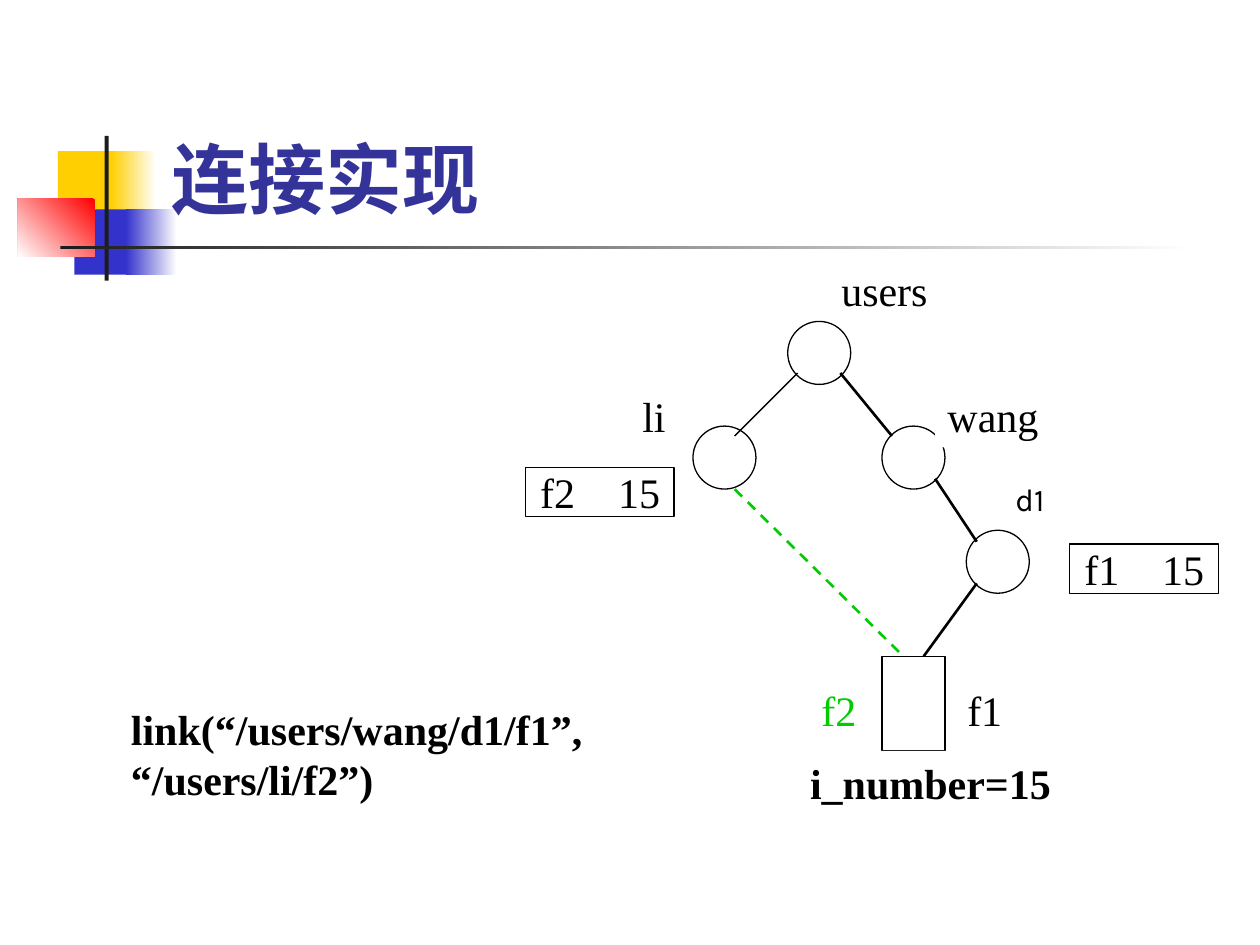
from pptx import Presentation
from pptx.dml.color import RGBColor
from pptx.enum.dml import MSO_LINE
from pptx.enum.shapes import MSO_CONNECTOR, MSO_SHAPE
from pptx.enum.text import MSO_ANCHOR
from pptx.oxml.ns import qn
from pptx.util import Cm, Pt
from lxml.etree import SubElement

HUES = {name: RGBColor.from_string(code) for name, code in {
    "white": "FFFFFF", "black": "000000", "green": "00CC00",
    "yellow": "FFCF01", "blue": "3333CC", "red": "FF0000",
    "ink": "1C1C1C", "navy": "333399"}.items()}
SERIF = "Times New Roman"

deck = Presentation()
deck.slide_width, deck.slide_height = Cm(25.4), Cm(19.05)
slide = deck.slides.add_slide(deck.slide_layouts[6])
shapes = slide.shapes


def draw(kind, x, y, w, h, hue="white", edge=None):
    item = shapes.add_shape(kind, Cm(x), Cm(y), Cm(w), Cm(h))
    item.shadow.inherit = False
    item.fill.solid()
    item.fill.fore_color.rgb = HUES[hue]
    if edge:
        item.line.color.rgb = HUES[edge]
        item.line.width = Pt(0.75)
    else:
        item.line.fill.background()
    return item


def write(x, y, w, h, text, size=24, hue="black", bold=False, face=SERIF,
          anchor=MSO_ANCHOR.TOP):
    box = shapes.add_textbox(Cm(x), Cm(y), Cm(w), Cm(h))
    frame = box.text_frame
    frame.word_wrap = True
    frame.vertical_anchor = anchor
    para = frame.paragraphs[0]
    para.text = text
    if "\t" in text:
        tabs = SubElement(para._p.get_or_add_pPr(), qn("a:tabLst"))
        SubElement(tabs, qn("a:tab"), pos=str(Cm(1.57)), algn="l")
    font = para.font
    font.name, font.size, font.bold = face, Pt(size), bold
    font.color.rgb = HUES[hue]
    return box


# Corner ornament and title rule; an angle marks a fade
for x, y, w, h, hue, angle in [
        (1.17, 3.05, 1.22, 1.32, "yellow", None),
        (2.24, 3.05, 0.91, 1.32, "yellow", 0),
        (1.5, 4.22, 1.17, 1.32, "blue", None),
        (2.54, 4.22, 1.02, 1.32, "blue", 0),
        (0.36, 4.01, 1.55, 1.17, "red", 225),
        (2.11, 2.74, 0.08, 2.92, "ink", None),
        (1.22, 4.95, 22.86, 0.08, "ink", 0)]:
    block = draw(MSO_SHAPE.RECTANGLE, x, y, w, h, hue)
    if angle is not None:
        block.fill.gradient()
        block.fill.gradient_angle = angle
        for stop, shade in zip(block.fill.gradient_stops, (hue, "white")):
            stop.color.rgb = HUES[shade]
            stop.position = 0 if shade == hue else 1

write(3.2, 0.58, 21.64, 4.06, "连接实现", 44, "navy", True, "Karla",
      MSO_ANCHOR.BOTTOM)

# Directory nodes and the shared file
for x, y in [(17.78, 8.59), (19.48, 10.69), (13.97, 8.59), (15.88, 6.48)]:
    draw(MSO_SHAPE.OVAL, x, y, 1.27, 1.27, edge="black")
draw(MSO_SHAPE.RECTANGLE, 17.78, 13.23, 1.27, 1.91, edge="black")

# Tree branches and the new link
for x1, y1, x2, y2, width, hue in [
        (19.69, 11.76, 18.62, 13.23, 1.5, "black"),
        (18.85, 9.65, 19.69, 10.92, 1.5, "black"),
        (16.94, 7.52, 17.98, 8.79, 1.5, "black"),
        (16.08, 7.52, 14.81, 8.79, 0.75, "black"),
        (14.81, 9.86, 18.21, 13.23, 1.5, "green")]:
    branch = shapes.add_connector(MSO_CONNECTOR.STRAIGHT,
                                  Cm(x1), Cm(y1), Cm(x2), Cm(y2))
    branch.line.color.rgb = HUES[hue]
    branch.line.width = Pt(width)
    if hue == "green":
        branch.line.dash_style = MSO_LINE.DASH
    SubElement(branch._element.spPr, qn("a:effectLst"))

# Node labels on white
for x, y, w, text, hue, bold in [
        (16.71, 5.21, 2.74, "users", "black", False),
        (18.85, 7.75, 2.97, "wang", "black", False),
        (12.7, 7.75, 1.27, "li", "black", False),
        (19.25, 13.67, 1.7, "f1", "black", False),
        (16.31, 13.67, 1.27, "f2", "green", False),
        (16.08, 15.14, 5.51, "i_number=15", "black", True)]:
    label = write(x, y, w, 1.27, text, hue=hue, bold=bold)
    label.fill.solid()
    label.fill.fore_color.rgb = HUES["white"]

# Directory entries: name and i-number
for x, y, text in [(10.59, 9.42, "f2\t15"), (21.56, 10.97, "f1\t15")]:
    draw(MSO_SHAPE.RECTANGLE, x, y, 3, 1, edge="black")
    entry = write(x, y, 3, 1, text, anchor=MSO_ANCHOR.MIDDLE)
    entry.text_frame.margin_left = Cm(0.3)
    entry.text_frame.margin_right = 0

write(2.39, 14.05, 11.23, 2.29, "link(“/users/wang/d1/f1”, “/users/li/f2”)",
      bold=True)
write(20.22, 9.55, 1.6, 1.02, "d1", 18, face="Karla")

deck.save("out.pptx")
